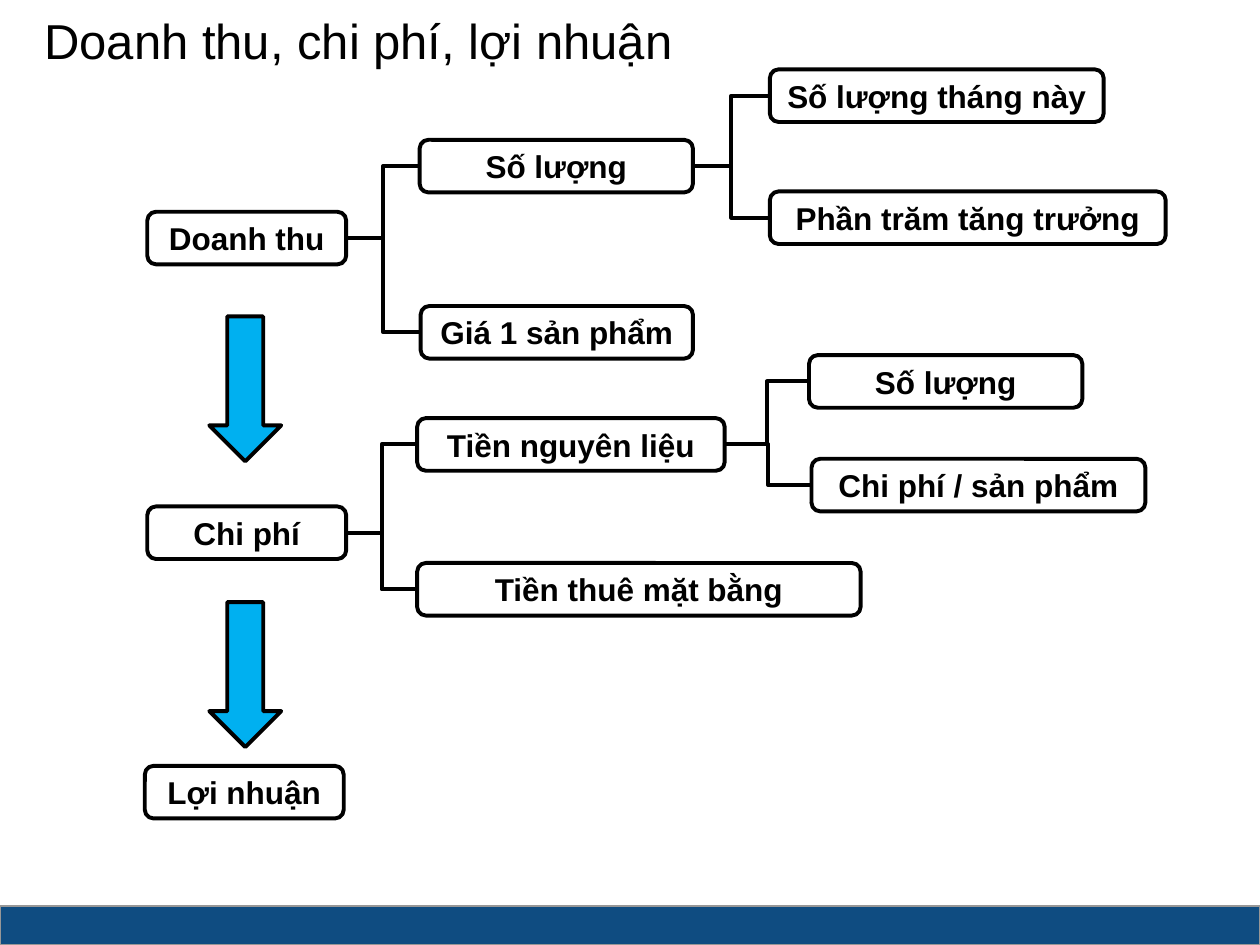
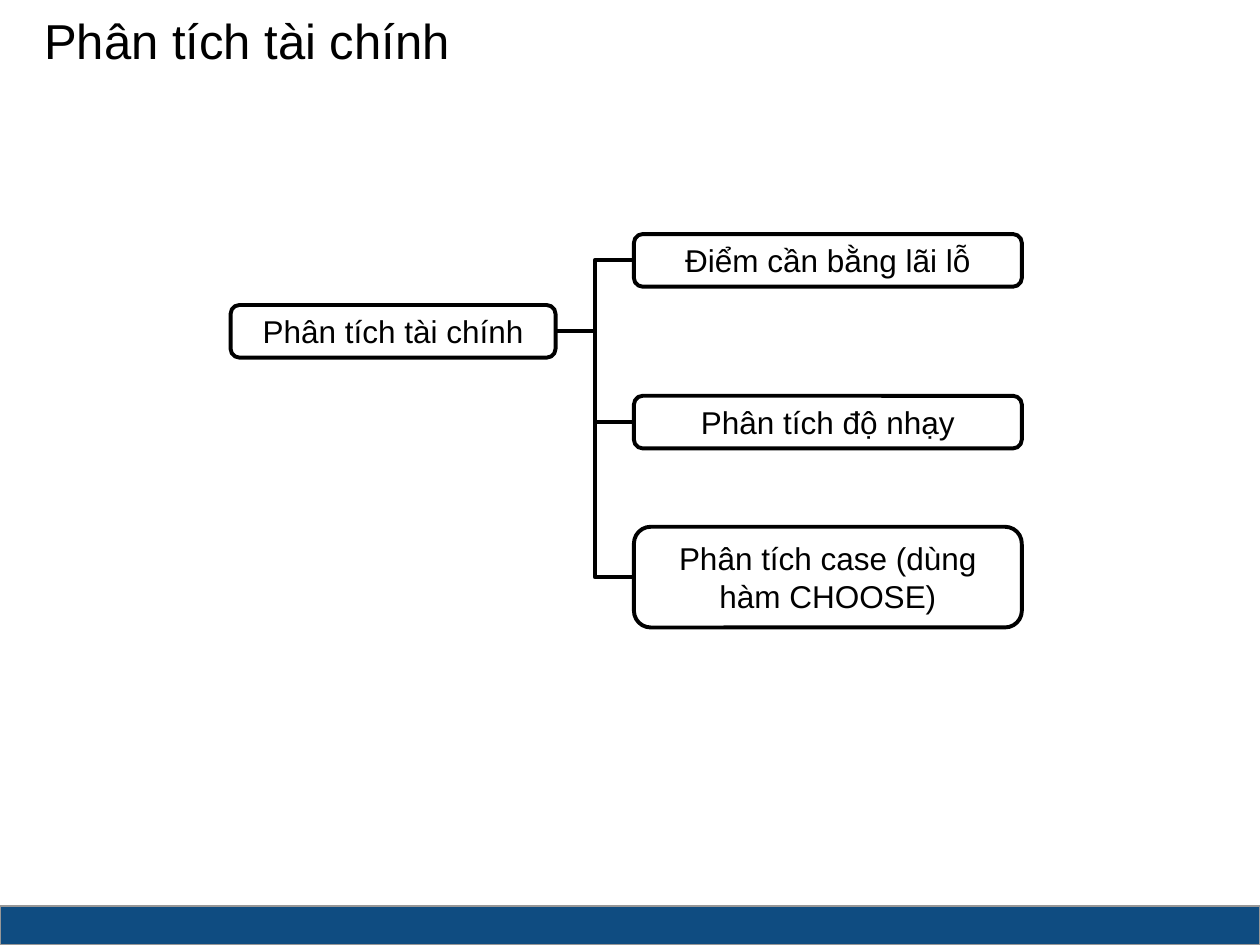
from dataclasses import dataclass, field

from lxml import etree
from pptx import Presentation
from pptx import util as u
from pptx.dml import color
from pptx.enum import shapes, text
from pptx.oxml import ns

COLOURS = {"ink": "000000", "arrow": "00B0F0", "band": "0F4C81", "band_edge": "979797"}
FONT = "Arial"
LINE_WIDTH = u.Pt(2.25)
BOX_HEIGHT = 1.06
ARROW_LEFT = 4.22
ARROW_TOPS = (6.38, 12.14)


@dataclass
class Node:
    label: str
    left: float
    top: float
    width: float
    height: float = BOX_HEIGHT
    children: list = field(default_factory=list)


REVENUE = Node("Doanh thu", 2.97, 4.27, 4.01, children=[
    Node("Số lượng", 8.46, 2.82, 5.51, children=[
        Node("Số lượng tháng này", 15.52, 1.4, 6.73),
        Node("Phần trăm tăng trưởng", 15.52, 3.86, 7.98),
    ]),
    Node("Giá 1 sản phẩm", 8.48, 6.17, 5.49),
])
COST = Node("Chi phí", 2.97, 10.21, 4.01, children=[
    Node("Tiền nguyên liệu", 8.41, 8.43, 6.2, children=[
        Node("Số lượng", 16.31, 7.16, 5.51),
        Node("Chi phí / sản phẩm", 16.36, 9.25, 6.73),
    ]),
    Node("Tiền thuê mặt bằng", 8.41, 11.35, 8.94),
])
PROFIT = Node("Lợi nhuận", 2.92, 15.44, 4.01)
ANALYSIS = Node("Phân tích tài chính", 4.65, 6.15, 6.55, children=[
    Node("Điểm cần bằng lãi lỗ", 12.78, 4.72, 7.82),
    Node("Phân tích độ nhạy", 12.78, 7.98, 7.82),
    Node("Phân tích case (dùng hàm CHOOSE)", 12.78, 10.62, 7.82, 2.03),
])


def rgb(name):
    return color.RGBColor.from_string(COLOURS[name])


def set_font(paragraph, size, bold=False):
    font = paragraph.font
    font.name, font.size, font.bold = FONT, u.Pt(size), bold
    font.color.rgb = rgb("ink")


def add_outlined_shape(slide, kind, left, top, width, height, fill=None,
                       line="ink", line_width=LINE_WIDTH):
    shape = slide.shapes.add_shape(kind, u.Cm(left), u.Cm(top), u.Cm(width), u.Cm(height))
    shape.shadow.inherit = False
    if fill:
        shape.fill.solid()
        shape.fill.fore_color.rgb = rgb(fill)
    else:
        shape.fill.background()
    shape.line.color.rgb = rgb(line)
    shape.line.width = line_width
    return shape


def add_box(slide, node, bold):
    box = add_outlined_shape(slide, shapes.MSO_SHAPE.ROUNDED_RECTANGLE,
                             node.left, node.top, node.width, node.height)
    frame = box.text_frame
    frame.word_wrap = True
    frame.vertical_anchor = text.MSO_ANCHOR.MIDDLE
    paragraph = frame.paragraphs[0]
    paragraph.text = node.label
    paragraph.alignment = text.PP_ALIGN.CENTER
    paragraph.space_before = u.Pt(3.6)
    set_font(paragraph, 18, bold)
    return box


def join_boxes(slide, parent, child):
    connector = slide.shapes.add_connector(
        shapes.MSO_CONNECTOR.ELBOW,
        parent.left + parent.width, parent.top + parent.height // 2,
        child.left, child.top + child.height // 2)
    connector.begin_connect(parent, 3)
    connector.end_connect(child, 1)
    connector.line.color.rgb = rgb("ink")
    connector.line.width = LINE_WIDTH
    properties = connector.element.find(ns.qn("p:spPr"))
    etree.SubElement(properties, ns.qn("a:effectLst"))


def add_tree(slide, node, bold=False):
    box = add_box(slide, node, bold)
    for child in node.children:
        join_boxes(slide, box, add_tree(slide, child, bold))
    return box


def add_titled_slide(presentation, title):
    slide = presentation.slides.add_slide(presentation.slide_layouts[5])
    shape = slide.shapes.title
    shape.left, shape.top = u.Cm(0.64), u.Cm(0.08)
    shape.width, shape.height = u.Cm(21), u.Cm(1.45)
    frame = shape.text_frame
    frame.word_wrap = True
    frame.auto_size = text.MSO_AUTO_SIZE.NONE
    frame.vertical_anchor = text.MSO_ANCHOR.TOP
    paragraph = frame.paragraphs[0]
    paragraph.text = title
    paragraph.alignment = text.PP_ALIGN.LEFT
    set_font(paragraph, 28)
    return slide


def move_band_to_layout(slide):
    band = add_outlined_shape(slide, shapes.MSO_SHAPE.RECTANGLE, 0, 18.27, 25.4, 0.78,
                              "band", "band_edge", u.Pt(1))
    band.element.xpath(".//p:cNvPr")[0].set("id", "20")
    slide.slide_layout.shapes.element.insert(2, band.element)


def main():
    presentation = Presentation()
    presentation.slide_width, presentation.slide_height = u.Cm(25.4), u.Cm(19.05)

    profit_slide = add_titled_slide(presentation, "Doanh thu, chi phí, lợi nhuận")
    move_band_to_layout(profit_slide)
    for tree in (REVENUE, COST, PROFIT):
        add_tree(profit_slide, tree, bold=True)
    for top in ARROW_TOPS:
        add_outlined_shape(profit_slide, shapes.MSO_SHAPE.DOWN_ARROW,
                           ARROW_LEFT, top, 1.45, 2.92, "arrow")

    analysis_slide = add_titled_slide(presentation, "Phân tích tài chính")
    add_tree(analysis_slide, ANALYSIS)

    presentation.save("out.pptx")


if __name__ == "__main__":
    main()
